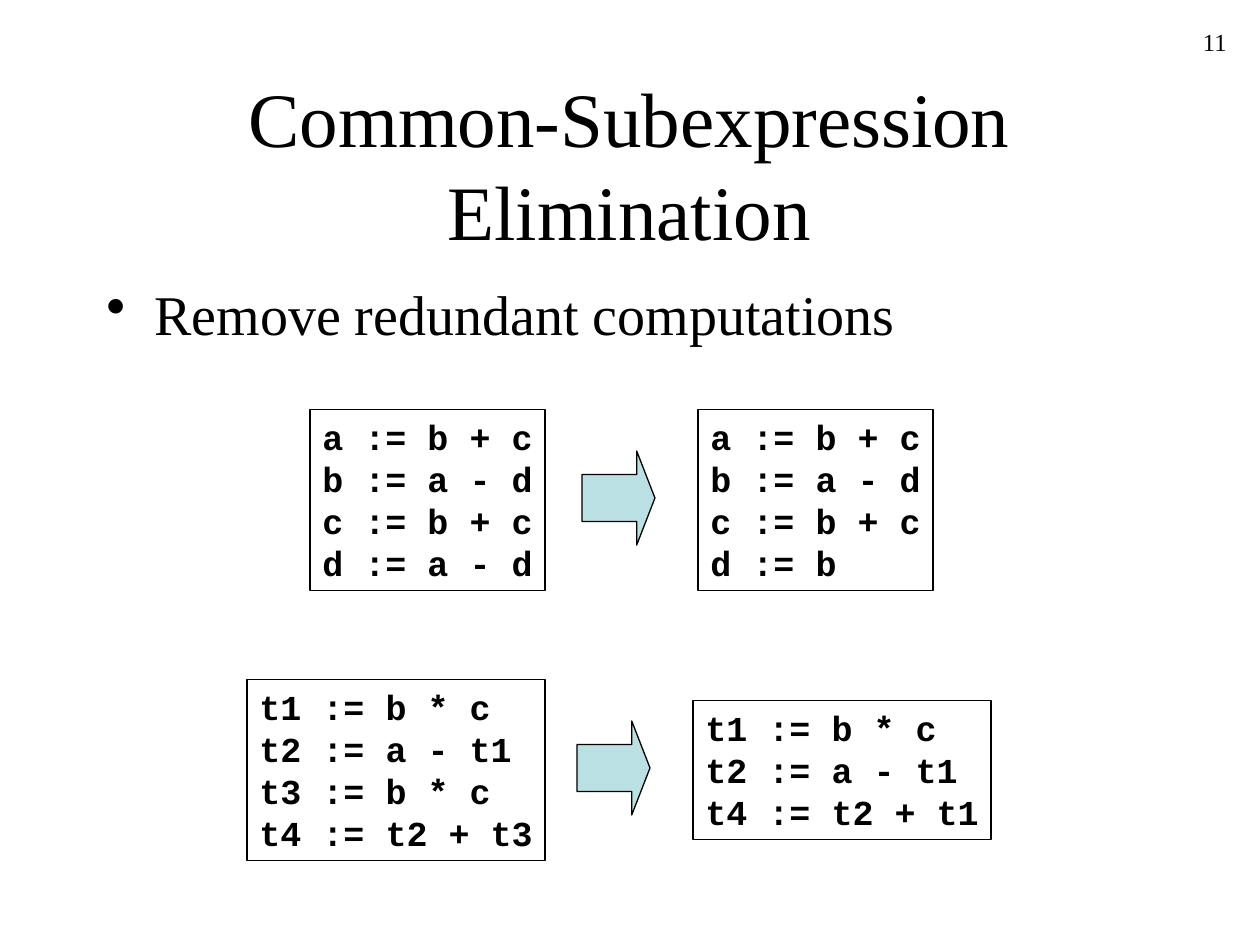
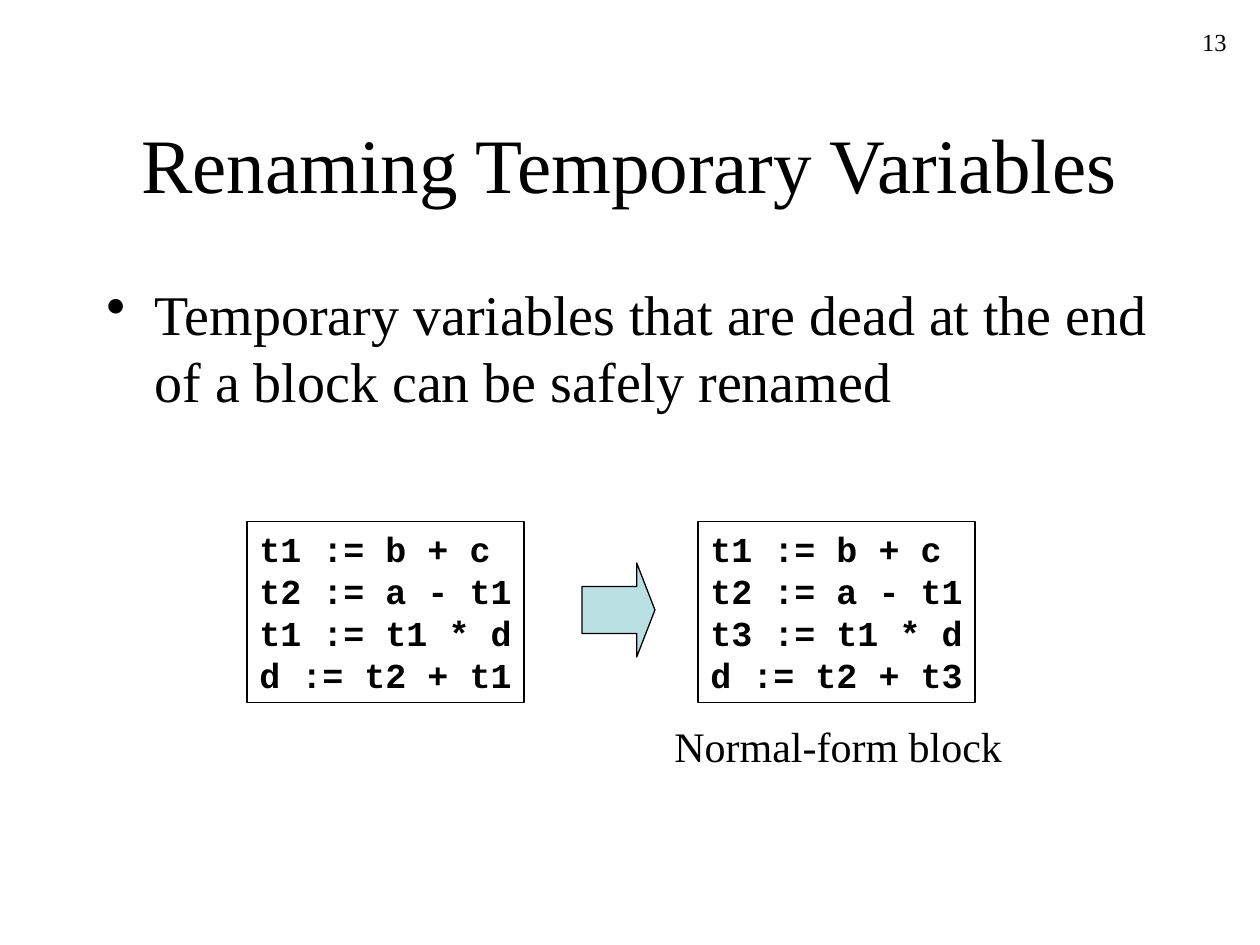
import pptx
import pptx.dml.color
import pptx.enum.shapes
import pptx.enum.text
import pptx.oxml
import pptx.oxml.ns
import pptx.util

ALIGN = pptx.enum.text.PP_ALIGN
ANCHOR = pptx.enum.text.MSO_ANCHOR
SHAPE = pptx.enum.shapes.MSO_SHAPE


def px(length):
    """Turn a length at 126 px to the inch into EMU."""
    return pptx.util.Emu(round(length * 914400 / 126))


def color(hex_code):
    return pptx.dml.color.RGBColor.from_string(hex_code)


class Lecture:
    SERIF = "Times New Roman"
    MONO = "Courier New"
    INK = "000000"
    ARROW_FILL = "BBE0E3"
    LEADING = 1.2
    CHAR_WIDTH, LINE_HEIGHT = 21, 42
    PAD_X, PAD_Y = 12.5, 6.5

    def __init__(self):
        self.deck = pptx.Presentation()
        self.deck.slide_width = px(1260)
        self.deck.slide_height = px(945)
        self.page = None

    def add_page(self, number, title, point):
        self.page = self.deck.slides.add_slide(self.deck.slide_layouts[6])
        self.text((977, 21, 262, 63), number, 14, align=ALIGN.RIGHT)
        self.text((94, 84, 1071, 158), title, 44, align=ALIGN.CENTER,
                  anchor=ANCHOR.MIDDLE)
        self.text((94, 273, 1071, 567), point, 32, bullet=True)

    def text(self, place, words, size, **style):
        box = self.page.shapes.add_textbox(*map(px, place))
        self.fill_text(box, words, size, **style)

    def fill_text(self, box, words, size, font=SERIF, bold=False,
                  align=ALIGN.LEFT, anchor=ANCHOR.TOP, wrap=True,
                  bullet=False):
        frame = box.text_frame
        frame.word_wrap = wrap
        frame.vertical_anchor = anchor
        paragraph = frame.paragraphs[0]
        paragraph.text = words.replace("\n", "\v")
        paragraph.alignment = align
        paragraph.line_spacing = pptx.util.Pt(size * self.LEADING)
        if bullet:
            self.add_bullet(paragraph)
        paragraph.font.name = font
        paragraph.font.size = pptx.util.Pt(size)
        paragraph.font.bold = bold
        paragraph.font.color.rgb = color(self.INK)

    def add_bullet(self, paragraph):
        properties = paragraph._p.get_or_add_pPr()
        properties.set("marL", str(px(48)))
        properties.set("indent", str(-px(48)))
        mark = pptx.oxml.parse_xml(
            f'<a:buChar {pptx.oxml.ns.nsdecls("a")} char="•"/>')
        properties.append(mark)

    def shape(self, kind, place, fill=None):
        shape = self.page.shapes.add_shape(kind, *map(px, place))
        shape.shadow.inherit = False
        if fill:
            shape.fill.solid()
            shape.fill.fore_color.rgb = color(fill)
        else:
            shape.fill.background()
        shape.line.color.rgb = color(self.INK)
        shape.line.width = pptx.util.Pt(0.75)
        return shape

    def code(self, left, middle, listing):
        """Frame a listing as tightly as its characters and lines allow."""
        lines = listing.split("\n")
        width = 2 * self.PAD_X + self.CHAR_WIDTH * max(map(len, lines))
        height = 2 * self.PAD_Y + self.LINE_HEIGHT * len(lines)
        box = self.shape(SHAPE.RECTANGLE,
                         (left, middle - height / 2, width, height))
        self.fill_text(box, listing, 20, font=self.MONO, bold=True,
                       wrap=False)

    def arrow(self, left, middle):
        arrow = self.shape(SHAPE.RIGHT_ARROW, (left, middle - 49, 73, 94),
                           self.ARROW_FILL)
        arrow.adjustments[0] = 0.5
        arrow.adjustments[1] = 0.25

    def rewrite(self, middle, left, right, before, after):
        """Show code before and after a transformation, an arrow between."""
        self.code(left, middle, before)
        self.code(right, middle, after)
        self.arrow(right - 116, middle)


def main():
    lecture = Lecture()

    lecture.add_page("11", "Common-Subexpression Elimination",
                     "Remove redundant computations")
    lecture.rewrite(500, 310, 698,
                    "a := b + c\nb := a - d\nc := b + c\nd := a - d",
                    "a := b + c\nb := a - d\nc := b + c\nd := b")
    lecture.rewrite(770, 247, 693,
                    "t1 := b * c\nt2 := a - t1\nt3 := b * c\nt4 := t2 + t3",
                    "t1 := b * c\nt2 := a - t1\nt4 := t2 + t1")

    lecture.add_page("13", "Renaming Temporary Variables",
                     "Temporary variables that are dead at the end "
                     "of a block can be safely renamed")
    lecture.rewrite(612, 247, 698,
                    "t1 := b + c\nt2 := a - t1\nt1 := t1 * d\nd := t2 + t1",
                    "t1 := b + c\nt2 := a - t1\nt3 := t1 * d\nd := t2 + t3")
    lecture.text((662, 714, 353, 63), "Normal-form block", 24, wrap=False)

    lecture.deck.save("out.pptx")


if __name__ == "__main__":
    main()
